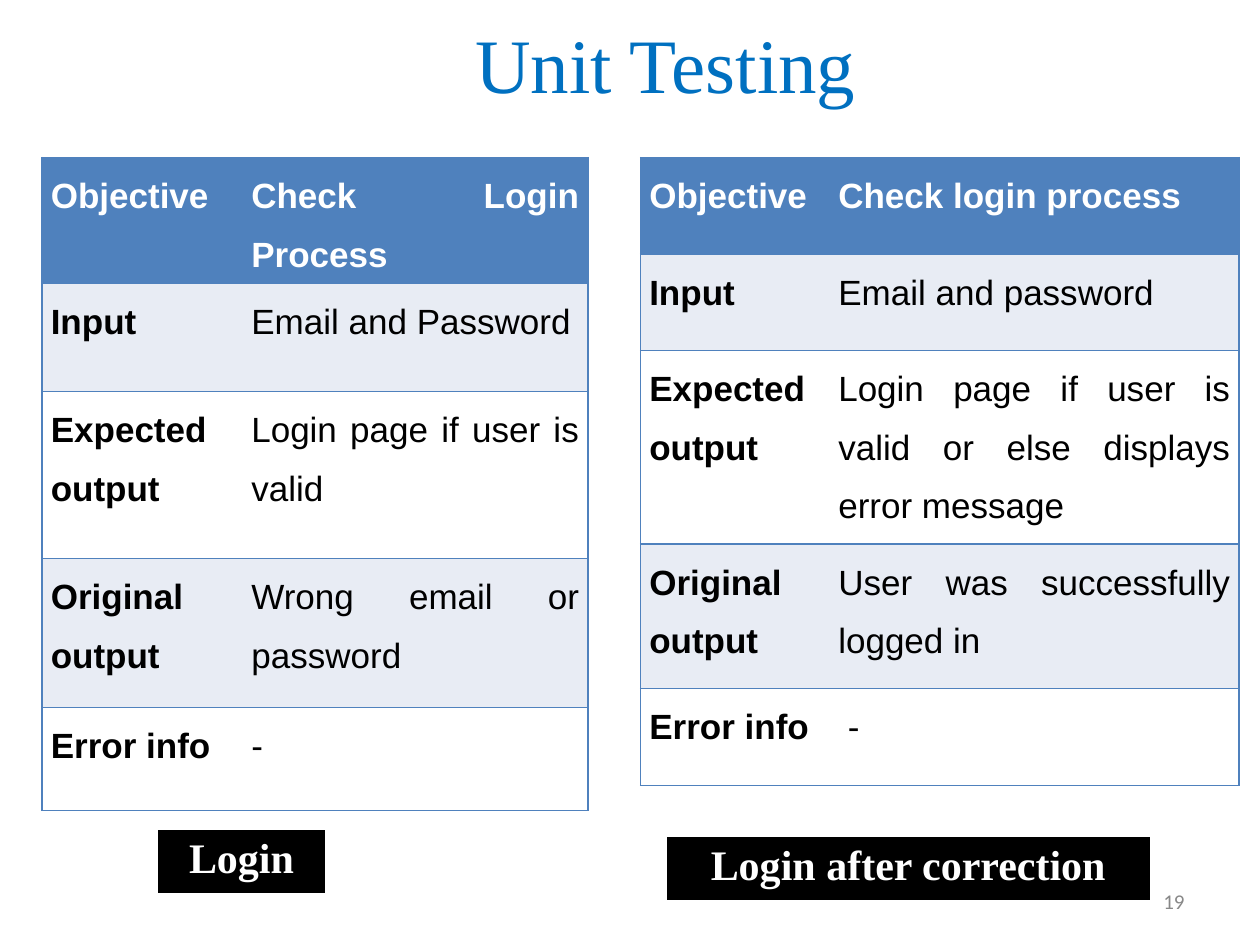
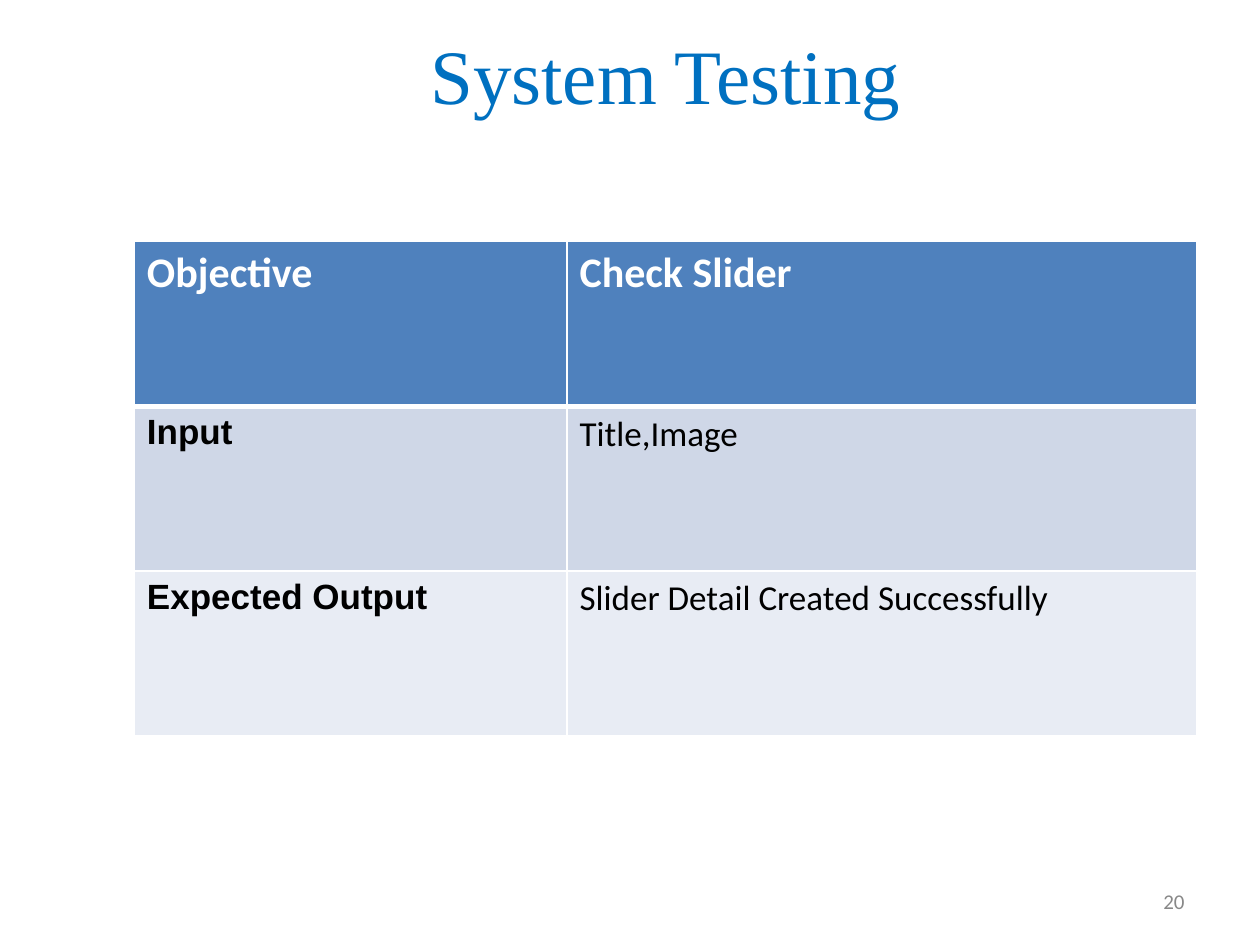
from dataclasses import dataclass

from lxml import etree
from pptx import Presentation
from pptx.dml.color import RGBColor
from pptx.enum.text import MSO_ANCHOR, PP_ALIGN
from pptx.oxml.ns import qn
from pptx.slide import Slide
from pptx.table import _Cell
from pptx.util import Inches, Length, Pt

LEFT, CENTER, RIGHT, JUSTIFY = PP_ALIGN.LEFT, PP_ALIGN.CENTER, PP_ALIGN.RIGHT, PP_ALIGN.JUSTIFY
MIDDLE = MSO_ANCHOR.MIDDLE

WHITE = RGBColor(0xFF, 0xFF, 0xFF)
BLACK = RGBColor(0x00, 0x00, 0x00)
TITLE_BLUE = RGBColor(0x00, 0x70, 0xC0)
HEADER_BLUE = RGBColor(0x4F, 0x81, 0xBD)
MID_BAND = RGBColor(0xCF, 0xD7, 0xE7)
PALE_BAND = RGBColor(0xE8, 0xEC, 0xF4)
NUMBER_GRAY = RGBColor(0x88, 0x88, 0x88)

SERIF, SANS, BODY = "Times New Roman", "Arial", "Calibri"

SLIDE_WIDTH, SLIDE_HEIGHT = Inches(10), Inches(7.5)
GRID_COLUMNS = 120  # square cells, so one unit serves both directions


@dataclass(frozen=True)
class Font:
    name: str
    size: float
    color: RGBColor
    bold: bool = False


@dataclass(frozen=True)
class TableStyle:
    """Fonts are (label, value) pairs; a border colour of None leaves lines out."""
    header_fonts: tuple[Font, Font]
    body_fonts: tuple[Font, Font]
    header_fill: RGBColor
    bands: tuple[RGBColor, ...]
    border: RGBColor | None
    inner_verticals: bool
    header_rule: float
    margins: tuple[float, float]
    align: PP_ALIGN
    line_spacing: float


@dataclass(frozen=True)
class Grid:
    """A table placed in grid units."""
    left: float
    top: float
    columns: tuple[float, ...]
    rows: tuple[float, ...]
    texts: tuple[tuple[str, ...], ...]
    style: TableStyle


@dataclass(frozen=True)
class TestSlide:
    title: str
    title_height: float
    number: int
    grids: tuple[Grid, ...]


TITLE_FONT = Font(SERIF, 44, TITLE_BLUE)
NUMBER_FONT = Font(BODY, 12, NUMBER_GRAY)
CAPTION_FONT = Font(SERIF, 24, WHITE, True)
CASE_HEADER = Font(SANS, 20, WHITE, True)
SYSTEM_HEADER = Font(BODY, 24, WHITE, True)
LABEL_FONT = Font(SANS, 20, BLACK, True)

CASE_STYLE = TableStyle(
    (CASE_HEADER, CASE_HEADER), (LABEL_FONT, Font(SANS, 20, BLACK)),
    HEADER_BLUE, (PALE_BAND, WHITE), HEADER_BLUE, False, 1, (0.07, 0), JUSTIFY, 1.5)
SYSTEM_STYLE = TableStyle(
    (SYSTEM_HEADER, SYSTEM_HEADER), (LABEL_FONT, Font(BODY, 20, BLACK)),
    HEADER_BLUE, (MID_BAND, PALE_BAND), WHITE, True, 3, (0.1, 0.05), LEFT, 1)
CAPTION_STYLE = TableStyle(
    (CAPTION_FONT, CAPTION_FONT), (CAPTION_FONT, CAPTION_FONT),
    BLACK, (BLACK,), None, False, 1, (0.1, 0.05), CENTER, 1)

LOGIN_CASE = Grid(4, 15, (19.1, 32.9), (9.8, 10.3, 15.9, 14.2, 9.8), (
    ("Objective", "Check Login Process"),
    ("Input", "Email and Password"),
    ("Expected output", "Login page if user is valid"),
    ("Original output", "Wrong email or password"),
    ("Error info", "-"),
), CASE_STYLE)
CORRECTED_CASE = Grid(61, 15, (18, 39), (9.2, 9.2, 18.4, 13.8, 9.2), (
    ("Objective", "Check login process"),
    ("Input", "Email and password"),
    ("Expected output", "Login page if user is valid or else displays error message"),
    ("Original output", "User was successfully logged in"),
    ("Error info", " -"),
), CASE_STYLE)
SLIDER_CASE = Grid(12.8, 23, (41.2, 60), (15.7,) * 3, (
    ("Objective", "Check Slider"),
    ("Input", "Title,Image"),
    ("Expected Output", "Slider Detail Created Successfully"),
), SYSTEM_STYLE)

SLIDES = (
    TestSlide("Unit Testing", 12, 19, (
        LOGIN_CASE,
        CORRECTED_CASE,
        Grid(15, 79, (16,), (5,), (("Login",),), CAPTION_STYLE),
        Grid(63.5, 79.7, (46,), (5,), (("Login after correction",),), CAPTION_STYLE),
    )),
    TestSlide("System Testing", 14, 20, (SLIDER_CASE,)),
)


def units(count: float) -> Length:
    return Length(round(SLIDE_WIDTH * count / GRID_COLUMNS))


def write(frame, text: str, font: Font, align: PP_ALIGN, line_spacing: float = 1) -> None:
    frame.text = text
    frame.word_wrap = True
    para = frame.paragraphs[0]
    para.alignment = align
    para.line_spacing = line_spacing
    for span in para.runs:
        span.font.name = font.name
        span.font.size = Pt(font.size)
        span.font.bold = font.bold
        span.font.color.rgb = font.color


def add_text(slide: Slide, place: tuple[float, ...], text: str, font: Font,
             align: PP_ALIGN) -> None:
    box = slide.shapes.add_textbox(*map(units, place))
    box.text_frame.vertical_anchor = MIDDLE
    write(box.text_frame, text, font, align)


def set_border(cell: _Cell, side: str, color: RGBColor | None, width: float) -> None:
    properties = cell._tc.get_or_add_tcPr()
    line = etree.SubElement(properties, qn(f"a:ln{side}"), w=str(Pt(width)))
    if color is None:
        etree.SubElement(line, qn("a:noFill"))
    else:
        fill = etree.SubElement(line, qn("a:solidFill"))
        etree.SubElement(fill, qn("a:srgbClr"), val=str(color))


def style_cell(cell: _Cell, grid: Grid, row: int, column: int) -> None:
    style = grid.style
    last_column = len(grid.columns) - 1
    verticals = {"L": column == 0, "R": column == last_column}
    for side, outer in verticals.items():
        set_border(cell, side, style.border if outer or style.inner_verticals else None, 1)
    set_border(cell, "T", style.border, style.header_rule if row == 1 else 1)
    set_border(cell, "B", style.border, style.header_rule if row == 0 else 1)

    cell.fill.solid()
    cell.fill.fore_color.rgb = (
        style.bands[(row - 1) % len(style.bands)] if row else style.header_fill)
    side_margin, end_margin = map(Inches, style.margins)
    cell.margin_left = cell.margin_right = side_margin
    cell.margin_top = cell.margin_bottom = end_margin


def add_grid(slide: Slide, grid: Grid) -> None:
    style = grid.style
    frame = slide.shapes.add_table(
        len(grid.rows), len(grid.columns), units(grid.left), units(grid.top),
        units(sum(grid.columns)), units(sum(grid.rows)))
    table = frame.table
    table.first_row = table.horz_banding = False
    for table_column, width in zip(table.columns, grid.columns):
        table_column.width = units(width)
    for table_row, height in zip(table.rows, grid.rows):
        table_row.height = units(height)
    for row, texts in enumerate(grid.texts):
        fonts = style.body_fonts if row else style.header_fonts
        for column, text in enumerate(texts):
            cell = table.cell(row, column)
            style_cell(cell, grid, row, column)
            write(cell.text_frame, text, fonts[column], style.align, style.line_spacing)


def main() -> None:
    deck = Presentation()
    deck.slide_width, deck.slide_height = SLIDE_WIDTH, SLIDE_HEIGHT
    blank = deck.slide_layouts[6]
    for content in SLIDES:
        page = deck.slides.add_slide(blank)
        add_text(page, (12.8, 0, 101.2, content.title_height), content.title,
                 TITLE_FONT, CENTER)
        for grid in content.grids:
            add_grid(page, grid)
        add_text(page, (86, 83.4, 28, 4.8), str(content.number), NUMBER_FONT, RIGHT)
    deck.save("out.pptx")


if __name__ == "__main__":
    main()
